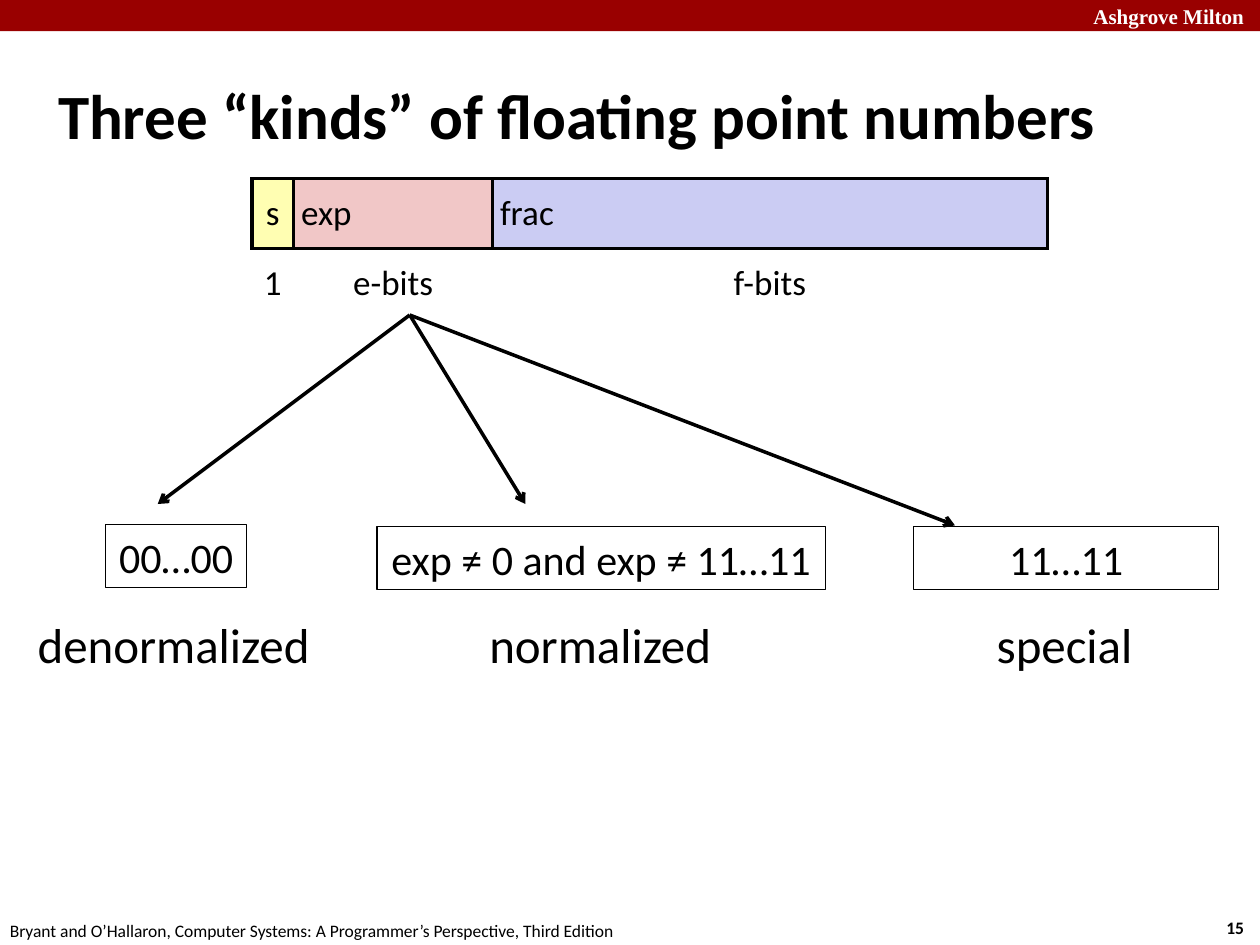
from lxml import etree
from pptx import Presentation
from pptx.dml.color import RGBColor
from pptx.enum.shapes import MSO_CONNECTOR, MSO_SHAPE
from pptx.enum.text import MSO_ANCHOR, PP_ALIGN
from pptx.oxml.ns import qn
from pptx.util import Cm, Pt

LEFT, CENTER, RIGHT = PP_ALIGN.LEFT, PP_ALIGN.CENTER, PP_ALIGN.RIGHT
MIDDLE = MSO_ANCHOR.MIDDLE
RECT, STRAIGHT = MSO_SHAPE.RECTANGLE, MSO_CONNECTOR.STRAIGHT
BLACK, WHITE, RED = "000000", "FFFFFF", "990000"

# Content; all lengths in cm
TITLE = "Three “kinds” of floating point numbers"
FIELDS = [  # name, bits, width, fill, alignment
    ("s", "1", 0.84, "FFFEB2", CENTER),
    ("exp", "e-bits", 4.01, "F1C7C7", LEFT),
    ("frac", "f-bits", 11.18, "CBCCF3", LEFT),
]
FIELDS_LEFT, FIELDS_TOP, FIELD_HEIGHT = 5.08, 3.6, 1.41
FAN_START = (8.26, 6.35)
KINDS = [  # exponent pattern, box (left, top, width), arrow end, name, name centre
    ("00…00", (2.13, 10.58, 2.84), (3.18, 10.16), "denormalized", 3.5),
    ("exp ≠ 0 and exp ≠ 11…11", (7.6, 10.62, 9.04), (10.59, 10.16), "normalized", 12.1),
    ("11…11", (18.42, 10.62, 6.15), (19.25, 10.59), "special", 21.46),
]
BOX_HEIGHT, NAME_TOP, NAME_WIDTH, NAME_HEIGHT = 1.27, 12.27, 6.05, 1.45
MASTER_TEXTS = [  # text, (left, top, width, height), format
    ("15", (24.43, 18.36, 0.94, 0.69), {"size": 10, "bold": True}),
    ("Bryant and O’Hallaron, Computer Systems: A Programmer’s Perspective, Third Edition",
     (-0.05, 18.42, 12.9, 0.69), {"size": 10, "align": LEFT}),
    ("Ashgrove Milton", (19.05, -0.05, 6.28, 0.76),
     {"size": 12, "align": RIGHT, "bold": True, "color": WHITE, "font": "Times New Roman"}),
]


def rgb(code):
    return RGBColor.from_string(code)


def write(frame, text, size, align=CENTER, bold=False, color=BLACK, font="Calibri"):
    paragraph = frame.paragraphs[0]
    paragraph.alignment = align
    run = paragraph.add_run()
    run.text = text
    for name, value in {"size": Pt(size), "bold": bold, "name": font}.items():
        setattr(run.font, name, value)
    run.font.color.rgb = rgb(color)


def add_label(shapes, text, place, **style):
    frame = shapes.add_textbox(*map(Cm, place)).text_frame
    frame.word_wrap = True
    write(frame, text, **style)


def add_rect(shapes, place):
    rect = shapes.add_shape(RECT, *map(Cm, place))
    rect.shadow.inherit = False
    return rect


def set_borders(cell, visible):
    """Draw the named sides in black and hide the others."""
    properties = cell._tc.get_or_add_tcPr()
    for index, side in enumerate("LRTB"):
        line = etree.Element(qn(f"a:ln{side}"), w=str(Pt(2)))
        if side in visible:
            fill = etree.SubElement(line, qn("a:solidFill"))
            etree.SubElement(fill, qn("a:srgbClr"), val=BLACK)
        else:
            etree.SubElement(line, qn("a:noFill"))
        properties.insert(index, line)


def format_cell(cell, text, align, borders):
    cell.vertical_anchor = MIDDLE
    for side in ("left", "right", "top", "bottom"):
        setattr(cell, f"margin_{side}", Cm(0.15))
    write(cell.text_frame, text, 20, align)
    set_borders(cell, borders)


def add_fields(shapes):
    width = sum(field[2] for field in FIELDS)
    table = shapes.add_table(2, len(FIELDS), Cm(FIELDS_LEFT), Cm(FIELDS_TOP),
                             Cm(width), Cm(2 * FIELD_HEIGHT)).table
    table.first_row = table.horz_banding = False
    for row in table.rows:
        row.height = Cm(FIELD_HEIGHT)
    for column, (name, bits, width, fill, align) in enumerate(FIELDS):
        table.columns[column].width = Cm(width)
        field, size = table.cell(0, column), table.cell(1, column)
        field.fill.solid()
        field.fill.fore_color.rgb = rgb(fill)
        size.fill.background()
        format_cell(field, name, align, "LRTB")
        format_cell(size, bits, CENTER, "T")


def add_arrow(shapes, start, end):
    arrow = shapes.add_connector(STRAIGHT, *map(Cm, start + end))
    arrow.line.color.rgb = rgb(BLACK)
    arrow.line.width = Pt(2)
    etree.SubElement(arrow.line._get_or_add_ln(), qn("a:tailEnd"), type="arrow")
    etree.SubElement(arrow._element.spPr, qn("a:effectLst"))


def add_pattern(shapes, text, place):
    box = add_rect(shapes, place)
    box.fill.background()
    box.line.color.rgb = rgb(BLACK)
    box.line.width = Pt(0.75)
    box.text_frame.word_wrap = False
    write(box.text_frame, text, 24)


def main():
    deck = Presentation()
    deck.slide_width, deck.slide_height = Cm(25.4), Cm(19.05)
    slide = deck.slides.add_slide(deck.slide_layouts[5])
    shapes = slide.shapes

    # Header band, page number and source
    band = add_rect(shapes, (0, 0, 25.4, 0.63))
    band.fill.solid()
    band.fill.fore_color.rgb = rgb(RED)
    band.line.fill.background()
    for text, place, style in MASTER_TEXTS:
        add_label(shapes, text, place, **style)

    # Title
    title = shapes.title
    place = {"left": 1.07, "top": 0.71, "width": 23.29, "height": 3.18}
    for name, value in place.items():
        setattr(title, name, Cm(value))
    for side in ("left", "right", "top", "bottom"):
        setattr(title.text_frame, f"margin_{side}", Cm(0.1))
    title.text_frame.vertical_anchor = MIDDLE
    write(title.text_frame, TITLE, 36, LEFT, bold=True)

    # Bit fields, then the three kinds the exponent leads to
    add_fields(shapes)
    for pattern, box, arrow_end, kind, centre in KINDS:
        add_arrow(shapes, FAN_START, arrow_end)
        add_pattern(shapes, pattern, box + (BOX_HEIGHT,))
        add_label(shapes, kind, (centre - NAME_WIDTH / 2, NAME_TOP, NAME_WIDTH, NAME_HEIGHT),
                  size=28)

    deck.save("out.pptx")


if __name__ == "__main__":
    main()
